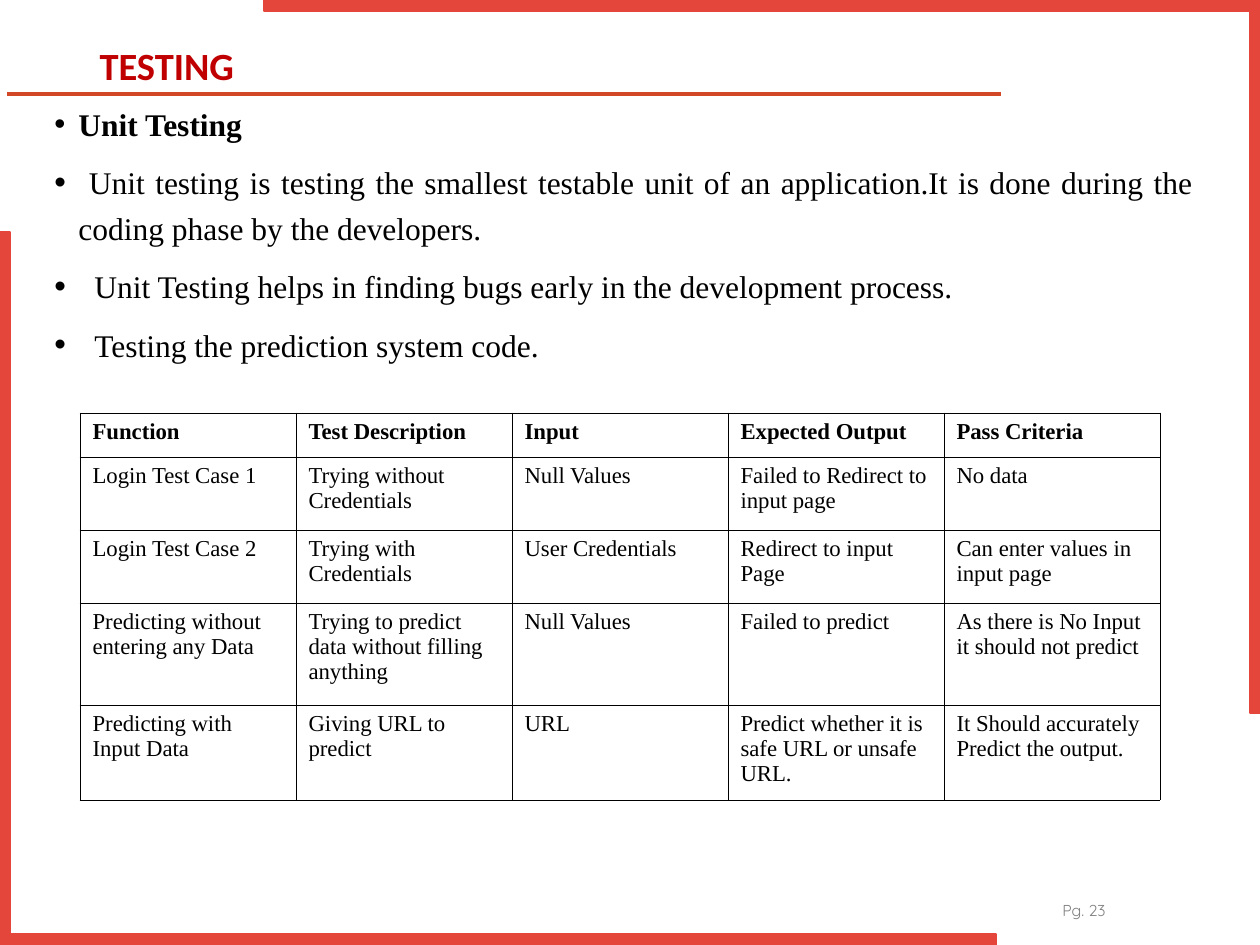
from lxml.etree import SubElement
from pptx import Presentation
from pptx.dml.color import RGBColor
from pptx.enum.shapes import MSO_CONNECTOR
from pptx.enum.text import MSO_ANCHOR, PP_ALIGN
from pptx.oxml import parse_xml
from pptx.oxml.ns import nsdecls, qn
from pptx.util import Emu, Pt

SCALE = 914400 / 126
COLORS = {
    "frame": "E4463B",
    "rule": "D24726",
    "title": "C00000",
    "text": "000000",
    "page": "7F7F7F",
}
SERIF = "Times New Roman"


def px(length):
    return Emu(round(length * SCALE))


def write(paragraph, text, size=13, font=SERIF, color="text", bold=False,
          align=PP_ALIGN.LEFT, line_spacing=1.0, before=0):
    paragraph.alignment = align
    paragraph.line_spacing = line_spacing
    paragraph.space_before = Pt(before)
    run = paragraph.add_run()
    run.text = text
    run.font.size = Pt(size)
    run.font.name = font
    run.font.bold = bold
    run.font.color.rgb = RGBColor.from_string(COLORS[color])


presentation = Presentation()
presentation.slide_width, presentation.slide_height = px(1260), px(945)
slide = presentation.slides.add_slide(presentation.slide_layouts[5])
shapes = slide.shapes

rule = shapes.add_connector(MSO_CONNECTOR.STRAIGHT, px(7), px(94), px(1001), px(94))
rule.line.color.rgb = RGBColor.from_string(COLORS["rule"])
rule.line.width = Pt(2)
SubElement(rule._element.spPr, qn("a:effectLst"))

corners = [
    [(1260, 713), (1250, 713), (1250, 11), (264, 11), (264, 0), (1260, 0)],
    [(0, 232), (10, 232), (10, 934), (996, 934), (996, 945), (0, 945)],
]
for points in corners:
    builder = shapes.build_freeform(*points[0], scale=SCALE)
    builder.add_line_segments(points[1:], close=True)
    corner = builder.convert_to_shape()
    corner.shadow.inherit = False
    corner.fill.solid()
    corner.fill.fore_color.rgb = RGBColor.from_string(COLORS["frame"])
    corner.line.color.rgb = RGBColor.from_string(COLORS["frame"])
    corner.line.width = Pt(1)

title = shapes.title
title.left, title.top, title.width, title.height = px(87), px(35), px(910), px(66)
title.text_frame.vertical_anchor = MSO_ANCHOR.MIDDLE
write(title.text_frame.paragraphs[0], "TESTING", size=22, font="Calibri",
      color="title", bold=True, line_spacing=0.9)

page_box = shapes.add_textbox(px(1050), px(895), px(186), px(24))
page_box.text_frame.word_wrap = True
write(page_box.text_frame.paragraphs[0], "Pg. 23", size=9, font="Quicksand", color="page")

bullets = [
    ("Unit Testing", 24, True),
    (" Unit testing is testing the smallest testable unit of an application."
     "It is done during the coding phase by the developers.", 24, False),
    ("Unit Testing helps in finding bugs early in the development process.", 40, False),
    ("Testing the prediction system code.", 40, False),
]
body = shapes.add_textbox(px(42), px(91), px(1164), px(786)).text_frame
body.word_wrap = True
for index, (text, margin, bold) in enumerate(bullets):
    paragraph = body.add_paragraph() if index else body.paragraphs[0]
    write(paragraph, text, size=18, bold=bold, align=PP_ALIGN.JUSTIFY,
          line_spacing=1.2, before=7.5)
    properties = paragraph._p.get_or_add_pPr()
    properties.set("marL", str(px(margin)))
    properties.set("indent", str(-px(margin)))
    bullet_color = SubElement(properties, qn("a:buClr"))
    SubElement(bullet_color, qn("a:srgbClr"), val=COLORS["text"])
    if not bold:
        SubElement(properties, qn("a:buSzPct"), val="105000")
    SubElement(properties, qn("a:buFont"), typeface="Arial")
    SubElement(properties, qn("a:buChar"), char="•")

rows = [
    ["Function", "Test Description", "Input", "Expected Output", "Pass Criteria"],
    ["Login Test Case 1", "Trying without Credentials", "Null Values",
     "Failed to Redirect to input page", "No data"],
    ["Login Test Case 2", "Trying with Credentials", "User Credentials",
     "Redirect to input Page", "Can enter values in input page"],
    ["Predicting without entering any Data",
     "Trying to predict data without filling anything", "Null Values",
     "Failed to predict", "As there is No Input it should not predict"],
    ["Predicting with Input Data", "Giving URL to predict", "URL",
     "Predict whether it is safe URL or unsafe URL.",
     "It Should accurately Predict the output."],
]
row_heights = [44, 73, 73, 102, 95]
table = shapes.add_table(len(rows), len(rows[0]), px(80), px(413),
                         px(1080), px(sum(row_heights))).table
table.first_row = False
table.horz_banding = False
for column in table.columns:
    column.width = px(216)
for row_index, (texts, height) in enumerate(zip(rows, row_heights)):
    table.rows[row_index].height = px(height)
    for column_index, text in enumerate(texts):
        cell = table.cell(row_index, column_index)
        write(cell.text_frame.paragraphs[0], text, bold=row_index == 0)
        cell_properties = cell._tc.get_or_add_tcPr()
        for side in ("lnL", "lnR", "lnT", "lnB"):
            cell_properties.append(parse_xml(
                f'<a:{side} {nsdecls("a")} w="{Pt(0.45)}"><a:solidFill>'
                f'<a:srgbClr val="{COLORS["text"]}"/></a:solidFill></a:{side}>'))
        cell.fill.background()

presentation.save("out.pptx")
